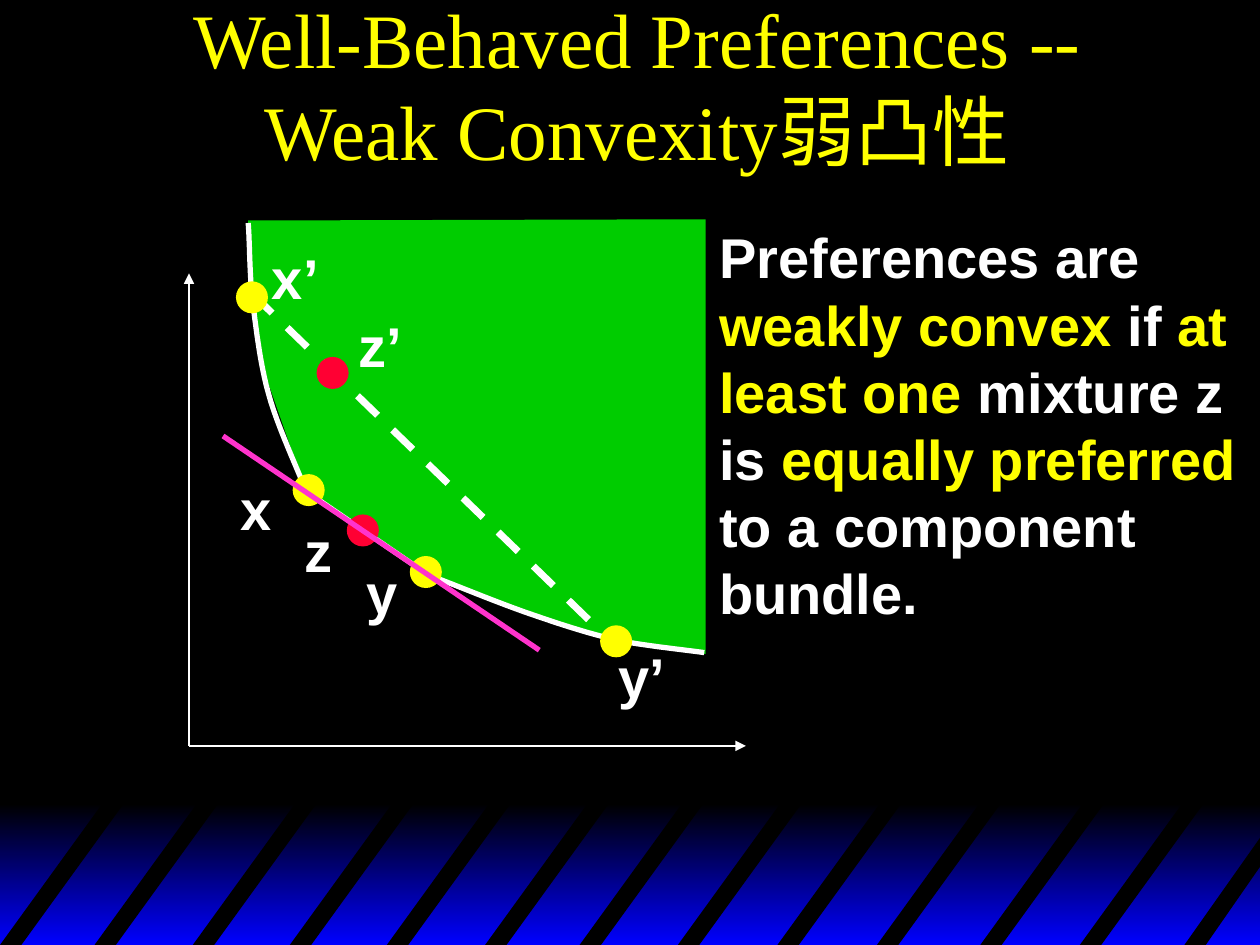
from typing import NamedTuple

from lxml.etree import SubElement
from pptx import Presentation
from pptx.dml.color import RGBColor
from pptx.enum.dml import MSO_LINE
from pptx.enum.shapes import MSO_CONNECTOR, MSO_SHAPE
from pptx.enum.text import MSO_ANCHOR, MSO_AUTO_SIZE, PP_ALIGN
from pptx.oxml.ns import qn
from pptx.util import Inches, Pt

BLACK = RGBColor(0, 0, 0)
BLUE = RGBColor(0, 0, 255)
WHITE = RGBColor(255, 255, 255)
YELLOW = RGBColor(255, 255, 0)
GREEN = RGBColor(0, 204, 0)
RED = RGBColor(255, 0, 51)
PINK = RGBColor(255, 51, 204)

Point = tuple[float, float]


class Label(NamedTuple):
    text: str
    left: float
    top: float
    width: float


class Dot(NamedTuple):
    left: float
    top: float
    color: RGBColor


class Run(NamedTuple):
    text: str
    color: RGBColor


STRIPES = [0, 0.75, 1.53, 2.3, 3.07, 3.85, 4.6, 5.38, 6.17, 6.96, 7.78, 8.57]
LABELS = [
    Label("x’", 2.06, 1.88, 0.57),
    Label("y’", 4.81, 5.05, 0.57),
    Label("z’", 2.75, 2.42, 0.67),
    Label("x", 1.81, 3.72, 0.45),
    Label("z", 2.32, 4.05, 0.42),
    Label("y", 2.81, 4.38, 0.45),
]
DOTS = [
    Dot(2.52, 2.84, RED),
    Dot(1.88, 2.24, YELLOW),
    Dot(4.77, 4.97, YELLOW),
    Dot(2.33, 3.77, YELLOW),
    Dot(2.76, 4.09, RED),
    Dot(3.26, 4.42, YELLOW),
]
REGION = [
    (1.97, 1.78), (1.99, 2.35), (2.08, 2.9), (2.43, 3.9), (3.38, 4.55),
    (4.17, 4.86), (4.89, 5.08), (5.6, 5.19), (5.6, 1.74), (1.97, 1.75),
]
UPPER = [
    (1.97, 1.77), (1.98, 1.86), (1.98, 2.13), (2, 2.35), (2.03, 2.58),
    (2.06, 2.87), (2.13, 3.12), (2.2, 3.38), (2.37, 3.74), (2.43, 3.9),
]
LOWER = [
    (3.36, 4.55), (3.51, 4.6), (3.96, 4.79), (4.23, 4.88), (4.49, 4.97),
    (4.71, 5.04), (4.94, 5.09), (5.16, 5.13), (5.45, 5.16), (5.59, 5.18),
]
CLAIM = [
    Run("Preferences are ", WHITE),
    Run("weakly convex", YELLOW),
    Run(" if ", WHITE),
    Run("at least one ", YELLOW),
    Run("mixture z is ", WHITE),
    Run("equally preferred", YELLOW),
    Run(" to a component bundle.", WHITE),
]


def bezier(knots: list[Point], steps: int = 12) -> list[Point]:
    points = [knots[0]]
    for i in range(0, len(knots) - 1, 3):
        for n in range(1, steps + 1):
            t = n / steps
            parts = ((1 - t) ** 3, 3 * t * (1 - t) ** 2, 3 * t * t * (1 - t), t**3)
            points.append(tuple(
                sum(w * p[k] for w, p in zip(parts, knots[i:i + 4])) for k in (0, 1)
            ))
    return points


def add_path(slide, points: list[Point], close: bool):
    spots = [(Inches(x), Inches(y)) for x, y in points]
    pen = slide.shapes.build_freeform(*spots[0])
    pen.add_line_segments(spots[1:], close=close)
    shape = pen.convert_to_shape()
    shape.shadow.inherit = False
    return shape


def add_area(slide, points: list[Point], color: RGBColor) -> None:
    shape = add_path(slide, points, True)
    shape.fill.solid()
    shape.fill.fore_color.rgb = color
    shape.line.fill.background()


def add_curve(slide, knots: list[Point]) -> None:
    shape = add_path(slide, bezier(knots), False)
    shape.fill.background()
    shape.line.color.rgb = WHITE
    shape.line.width = Pt(3)


def add_line(slide, start: Point, end: Point, color: RGBColor, width: float,
             dash: bool = False, arrow: bool = False) -> None:
    line = slide.shapes.add_connector(
        MSO_CONNECTOR.STRAIGHT, *map(Inches, start + end))
    line.line.color.rgb = color
    line.line.width = Pt(width)
    if dash:
        line.line.dash_style = MSO_LINE.DASH
    if arrow:
        SubElement(line.line._get_or_add_ln(), qn("a:tailEnd"), type="triangle")
    SubElement(line._element.spPr, qn("a:effectLst"))


def add_dot(slide, dot: Dot) -> None:
    shape = slide.shapes.add_shape(
        MSO_SHAPE.OVAL, *map(Inches, (dot.left, dot.top, 0.24, 0.24)))
    shape.shadow.inherit = False
    shape.fill.solid()
    shape.fill.fore_color.rgb = dot.color
    shape.line.color.rgb = dot.color
    shape.line.width = Pt(1)


def add_run(para, text: str, font: str, size: float, color: RGBColor, bold: bool) -> None:
    run = para.add_run()
    run.text = text
    run.font.name = font
    run.font.size = Pt(size)
    run.font.bold = bold
    run.font.color.rgb = color


def add_text(slide, box: tuple, runs: list[Run], wrap: bool) -> None:
    frame = slide.shapes.add_textbox(*map(Inches, box)).text_frame
    frame.word_wrap = wrap
    frame.auto_size = MSO_AUTO_SIZE.SHAPE_TO_FIT_TEXT
    for run in runs:
        add_run(frame.paragraphs[0], run.text, "Arial", 32, run.color, True)


def add_title(slide) -> None:
    title = slide.shapes.title
    title.left, title.top, title.width, title.height = map(Inches, (0.81, 0, 8.5, 1.33))
    frame = title.text_frame
    frame.auto_size = MSO_AUTO_SIZE.NONE
    frame.word_wrap = True
    frame.vertical_anchor = MSO_ANCHOR.MIDDLE
    para = frame.paragraphs[0]
    para.alignment = PP_ALIGN.CENTER
    add_run(para, "Well-Behaved Preferences -- Weak Convexity弱凸性",
            "Times New Roman", 44, YELLOW, False)


def add_footer(slide) -> None:
    band = slide.shapes.add_shape(
        MSO_SHAPE.RECTANGLE, *map(Inches, (0, 6.38, 10, 1.12)))
    band.shadow.inherit = False
    band.line.fill.background()
    band.fill.gradient()
    band.fill.gradient_angle = 270
    for stop, place, color in zip(band.fill.gradient_stops, (0, 1), (BLACK, BLUE)):
        stop.position = place
        stop.color.rgb = color
    for x in STRIPES:
        add_area(slide, [(x, 7.5), (x + 0.84, 6.34), (x + 1.01, 6.34), (x + 0.17, 7.5)],
                 BLACK)
    add_area(slide, [(9.4, 7.5), (10, 6.65), (10, 6.88), (9.57, 7.5)], BLACK)


def main() -> None:
    deck = Presentation()
    deck.slide_width, deck.slide_height = Inches(10), Inches(7.5)
    slide = deck.slides.add_slide(deck.slide_layouts[5])
    slide.background.fill.solid()
    slide.background.fill.fore_color.rgb = BLACK
    add_footer(slide)
    add_area(slide, REGION, GREEN)
    add_title(slide)
    for end in ((1.5, 2.17), (5.92, 5.92)):
        add_line(slide, (1.5, 5.92), end, WHITE, 1, arrow=True)
    add_line(slide, (2, 2.33), (4.89, 5.13), WHITE, 4, dash=True)
    for label in LABELS:
        box = (label.left, label.top, label.width, 0.63)
        add_text(slide, box, [Run(label.text, WHITE)], False)
    add_text(slide, (5.61, 1.72, 4.51, 3.3), CLAIM, True)
    for knots in (UPPER, LOWER):
        add_curve(slide, knots)
    add_line(slide, (2.43, 3.9), (3.38, 4.55), WHITE, 3)
    for dot in DOTS:
        add_dot(slide, dot)
    add_line(slide, (1.77, 3.46), (4.28, 5.16), PINK, 3)
    deck.save("out.pptx")


if __name__ == "__main__":
    main()
